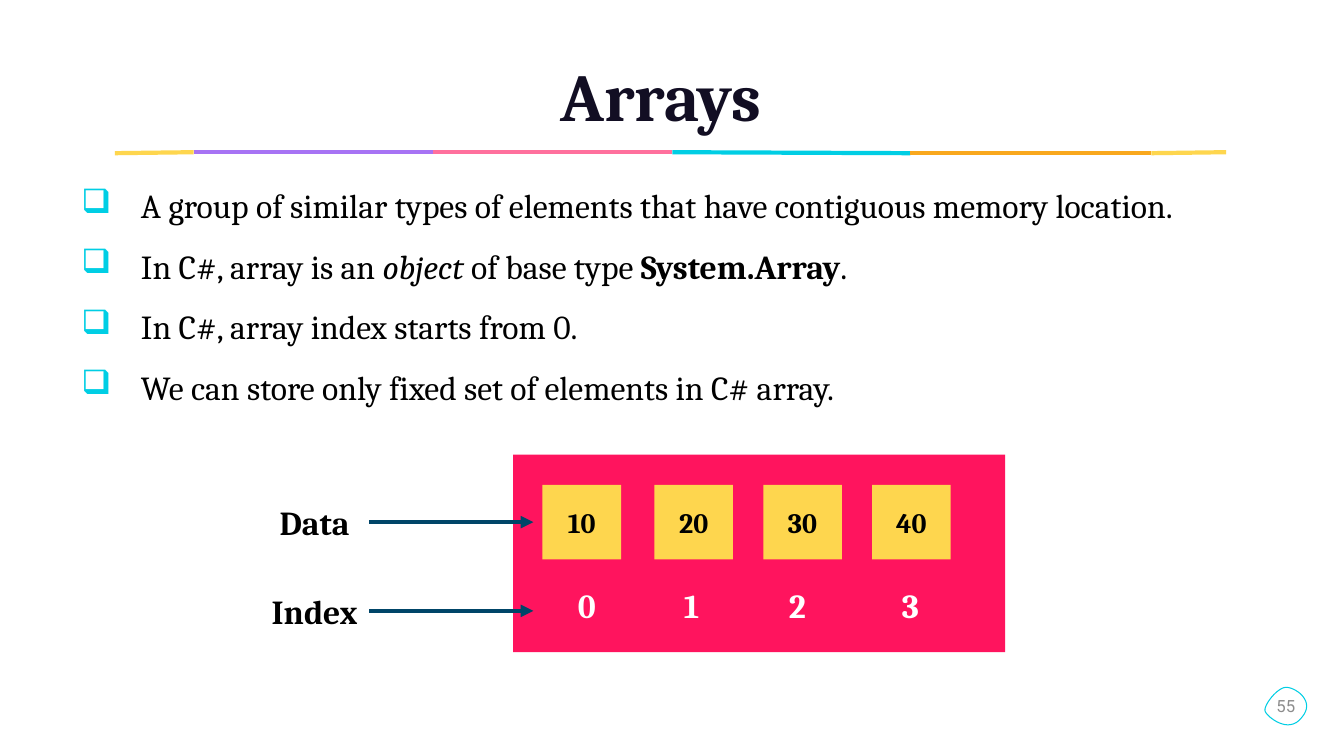
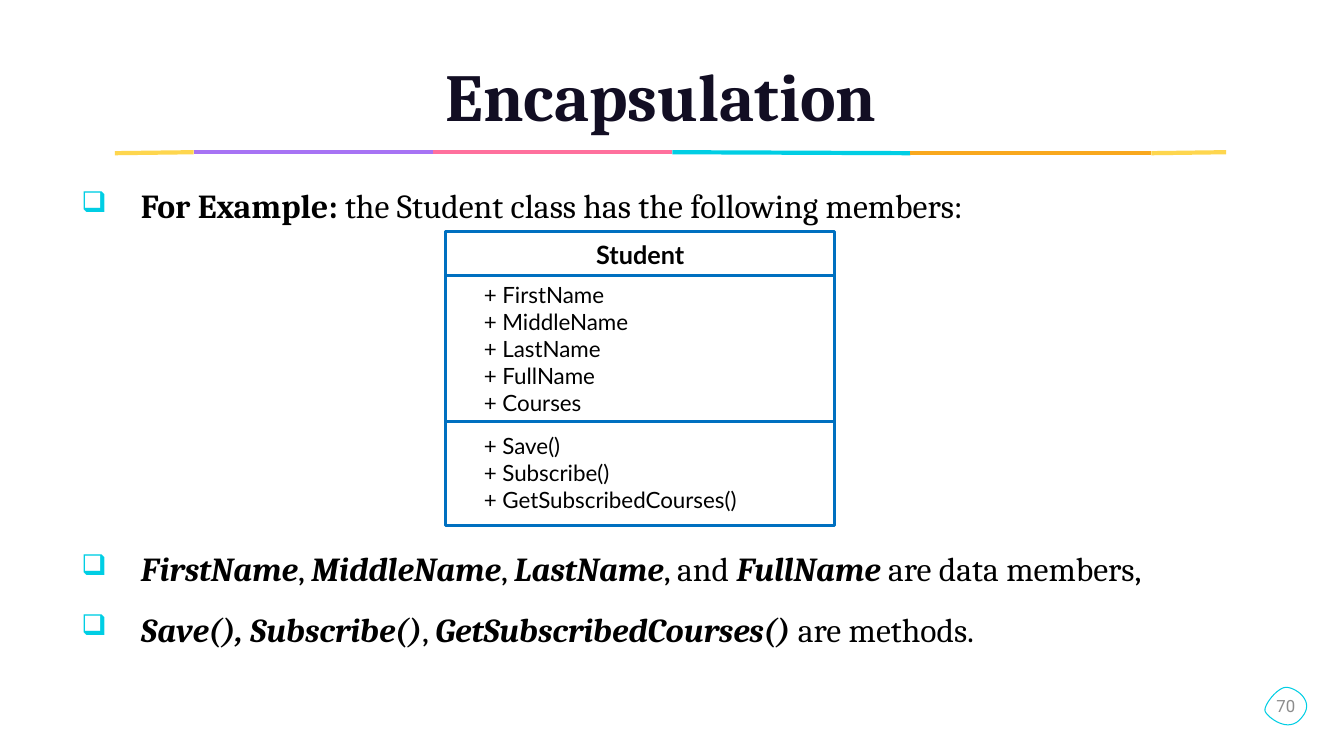
import dataclasses
import lxml.etree
import pptx
import pptx.dml.color
import pptx.enum.shapes
import pptx.enum.text
import pptx.oxml.ns
import pptx.util

Inches = pptx.util.Inches
Pt = pptx.util.Pt
Align = pptx.enum.text.PP_ALIGN
Anchor = pptx.enum.text.MSO_ANCHOR
qn = pptx.oxml.ns.qn


@dataclasses.dataclass(frozen=True)
class Theme:
    # Colours
    ink: str = "120E23"
    black: str = "000000"
    white: str = "FFFFFF"
    gray: str = "8C8C8C"
    gold: str = "FED64E"
    violet: str = "A773F4"
    pink: str = "FF709D"
    cyan: str = "00CEE4"
    orange: str = "F9A81D"
    red: str = "FF145E"
    navy: str = "004568"
    blue: str = "0070C0"
    # Fonts
    serif: str = "Cambria"
    sans: str = "Lato"
    badge: str = "Roboto"
    # Type sizes
    title: int = 48
    body: int = 24
    cell: int = 20
    head: int = 18
    member: int = 16
    small: int = 12


T = Theme()


def rgb(code):
    return pptx.dml.color.RGBColor.from_string(code)


def style(para, size, face, color=T.black, bold=None, align=None):
    font = para.font
    font.size, font.name, font.bold = Pt(size), face, bold
    font.color.rgb = rgb(color)
    para.alignment = align


def box(slide, left, top, width, height, fill=None, line=None):
    shape = slide.shapes.add_shape(
        pptx.enum.shapes.MSO_SHAPE.RECTANGLE,
        Inches(left), Inches(top), Inches(width), Inches(height))
    shape.shadow.inherit = False
    if fill:
        shape.fill.solid()
        shape.fill.fore_color.rgb = rgb(fill)
    else:
        shape.fill.background()
    if line:
        shape.line.color.rgb = rgb(line)
        shape.line.width = Pt(2.25)
    else:
        shape.line.fill.background()
    return shape


def label(slide, left, top, width, height, lines, *look, **more):
    shape = slide.shapes.add_textbox(
        Inches(left), Inches(top), Inches(width), Inches(height))
    frame = shape.text_frame
    frame.word_wrap = True
    frame.text = "\n".join(lines)
    for para in frame.paragraphs:
        style(para, *look, **more)
    return shape


def stroke(slide, start, end, color, width, arrow=False):
    line = slide.shapes.add_connector(
        pptx.enum.shapes.MSO_CONNECTOR.STRAIGHT,
        *(Inches(n) for n in (*start, *end)))
    line.line.color.rgb = rgb(color)
    line.line.width = Pt(width)
    if arrow:
        lxml.etree.SubElement(line.line._get_or_add_ln(), qn("a:tailEnd"),
                              type="triangle")
    lxml.etree.SubElement(line._element.spPr, qn("a:effectLst"))
    return line


def rule(slide):
    """Draw the coloured band under the title."""
    stops = [(1.14, 1.52), (1.92, 1.51), (4.29, 1.51), (6.67, 1.51),
             (9.03, 1.52), (11.42, 1.52), (12.16, 1.51)]
    hues = [T.gold, T.violet, T.pink, T.cyan, T.orange, T.gold]
    for start, end, hue in zip(stops, stops[1:], hues):
        stroke(slide, start, end, hue, 3)


def curve(start, one, two, end, steps=16):
    """Give points along a cubic curve, without its start."""
    for step in range(1, steps + 1):
        t = step / steps
        u = 1 - t
        yield tuple(u**3 * a + 3 * u * u * t * b + 3 * u * t * t * c + t**3 * d
                    for a, b, c, d in zip(start, one, two, end))


def badge(slide, number, left=12.55, top=6.81):
    """Draw the page number in its rounded outline."""
    start = (0.22, 0.01)
    arcs = [((0.31, 0.02), (0.50, 0.15), (0.36, 0.31)),
            ((0.23, 0.48), (0.02, 0.30), (0, 0.25)),
            ((-0.03, 0.20), (0.13, -0.01), start)]
    points = [start]
    for arc in arcs:
        points += curve(points[-1], *arc)
    spots = [(Inches(left + x), Inches(top + y)) for x, y in points]
    pen = slide.shapes.build_freeform(*spots[0])
    pen.add_line_segments(spots[1:], close=True)
    shape = pen.convert_to_shape()
    shape.shadow.inherit = False
    shape.fill.background()
    shape.line.color.rgb = rgb(T.cyan)
    shape.line.width = Pt(0.75)
    frame = shape.text_frame
    frame.margin_left = frame.margin_right = 0
    frame.margin_top = frame.margin_bottom = 0
    frame.word_wrap = False
    frame.vertical_anchor = Anchor.MIDDLE
    frame.text = number
    style(frame.paragraphs[0], T.small, T.badge, T.gray, align=Align.CENTER)


def base(deck, title, number):
    """Add a slide with the shared title, band and page number."""
    slide = deck.slides.add_slide(deck.slide_layouts[5])
    rule(slide)
    head = slide.shapes.title
    head.left, head.top = Inches(0.71), Inches(0.5)
    head.width, head.height = Inches(11.84), Inches(0.89)
    frame = head.text_frame
    frame.auto_size = pptx.enum.text.MSO_AUTO_SIZE.NONE
    frame.vertical_anchor = Anchor.BOTTOM
    frame.text = title
    para = frame.paragraphs[0]
    para.line_spacing = 1.7
    style(para, T.title, T.serif, T.ink, True, Align.CENTER)
    badge(slide, number)
    return slide


def bullet(para, scale):
    props = para._p.get_or_add_pPr()
    props.set("marL", str(Inches(0.59)))
    props.set("indent", str(-Inches(0.59)))
    tint = lxml.etree.SubElement(props, qn("a:buClr"))
    lxml.etree.SubElement(tint, qn("a:srgbClr"), val=T.cyan)
    lxml.etree.SubElement(props, qn("a:buSzPct"), val=str(scale * 1000))
    lxml.etree.SubElement(props, qn("a:buChar"), char="❑")


def body(slide, items, scale=100, gaps=None):
    """Write bullets; each item is a list of (text, marks) runs.

    Marks hold b for bold and i for italic; gaps maps an item's
    index to the space before it in points.
    """
    shape = slide.shapes.add_textbox(
        Inches(0.71), Inches(1.59), Inches(12.25), Inches(4.7))
    frame = shape.text_frame
    frame.word_wrap = True
    for index, runs in enumerate(items):
        para = frame.add_paragraph() if index else frame.paragraphs[0]
        para.line_spacing = 1.5
        if gaps and index in gaps:
            para.space_before = Pt(gaps[index])
        bullet(para, scale)
        style(para, T.body, T.serif)
        for text, marks in runs:
            run = para.add_run()
            run.text = text
            run.font.bold = "b" in marks
            run.font.italic = "i" in marks


def array(slide, left, top):
    """Draw the array panel with its cells, indexes and labels."""
    box(slide, left, top, 4.88, 1.96, T.red)
    # Value, left of cell, middle of index
    cells = [("10", 0.29, 0.73), ("20", 1.40, 1.77),
             ("30", 2.48, 2.82), ("40", 3.56, 3.94)]
    for index, (value, shift, mid) in enumerate(cells):
        cell = box(slide, left + shift, top + 0.3, 0.78, 0.74, T.gold)
        frame = cell.text_frame
        frame.vertical_anchor = Anchor.MIDDLE
        frame.text = value
        style(frame.paragraphs[0], T.cell, T.serif, bold=True,
              align=Align.CENTER)
        label(slide, left + mid - 0.25, top + 1.24, 0.5, 0.5, [str(index)],
              T.body, T.serif, T.white, True, Align.CENTER)
    # Row labels and their arrows
    for name, drop in (("Data", 0.67), ("Index", 1.55)):
        y = top + drop
        tag = label(slide, left - 2.51, y - 0.25, 1.08, 0.5, [name],
                    T.body, T.serif, bold=True, align=Align.CENTER)
        arrow = stroke(slide, (left - 1.43, y), (left + 0.2, y),
                       T.navy, 3, arrow=True)
        arrow.begin_connect(tag, 3)


def diagram(slide, left, top, name, fields, calls):
    """Draw a class box with name, fields and methods."""
    width = 3.86
    box(slide, left, top, width, 2.91, line=T.blue)
    for drop in (0.43, 1.88):
        stroke(slide, (left, top + drop), (left + width, top + drop),
               T.blue, 2.25)
    label(slide, left, top + 0.02, width, 0.39, [name],
          T.head, T.sans, bold=True, align=Align.CENTER)
    for drop, height, names in ((0.44, 1.39, fields), (1.94, 0.87, calls)):
        label(slide, left + 0.28, top + drop, width - 0.4, height,
              ["+ " + each for each in names], T.member, T.sans)


def arrays(deck):
    slide = base(deck, "Arrays ", "55")
    body(slide, [
        [("A group of similar types of elements that have contiguous "
          "memory location.", "")],
        [("In C#, array is an ", ""), ("object", "i"),
         (" of base type ", ""), ("System.Array", "b"), (".", "")],
        [("In C#, array index starts from 0.", "")],
        [("We can store only fixed set of elements in C# array.", "")],
    ])
    array(slide, 5.09, 4.51)


def capsule(deck):
    slide = base(deck, "Encapsulation ", "70")
    body(slide, [
        [("For Example: ", "b"),
         ("the Student class has the following members:", "")],
        [("FirstName", "bi"), (", ", ""), ("MiddleName", "bi"), (", ", ""),
         ("LastName", "bi"), (", and ", ""), ("FullName", "bi"),
         (" are data members,", "")],
        [("Save(), Subscribe()", "bi"), (", ", ""),
         ("GetSubscribedCourses() ", "bi"), ("are methods.", "")],
    ], scale=85, gaps={1: 216})
    diagram(slide, 4.42, 2.3, "Student",
            ["FirstName", "MiddleName", "LastName", "FullName", "Courses"],
            ["Save()", "Subscribe()", "GetSubscribedCourses()"])


def main():
    deck = pptx.Presentation()
    deck.slide_width, deck.slide_height = Inches(13.33), Inches(7.5)
    arrays(deck)
    capsule(deck)
    deck.save("out.pptx")


if __name__ == "__main__":
    main()
